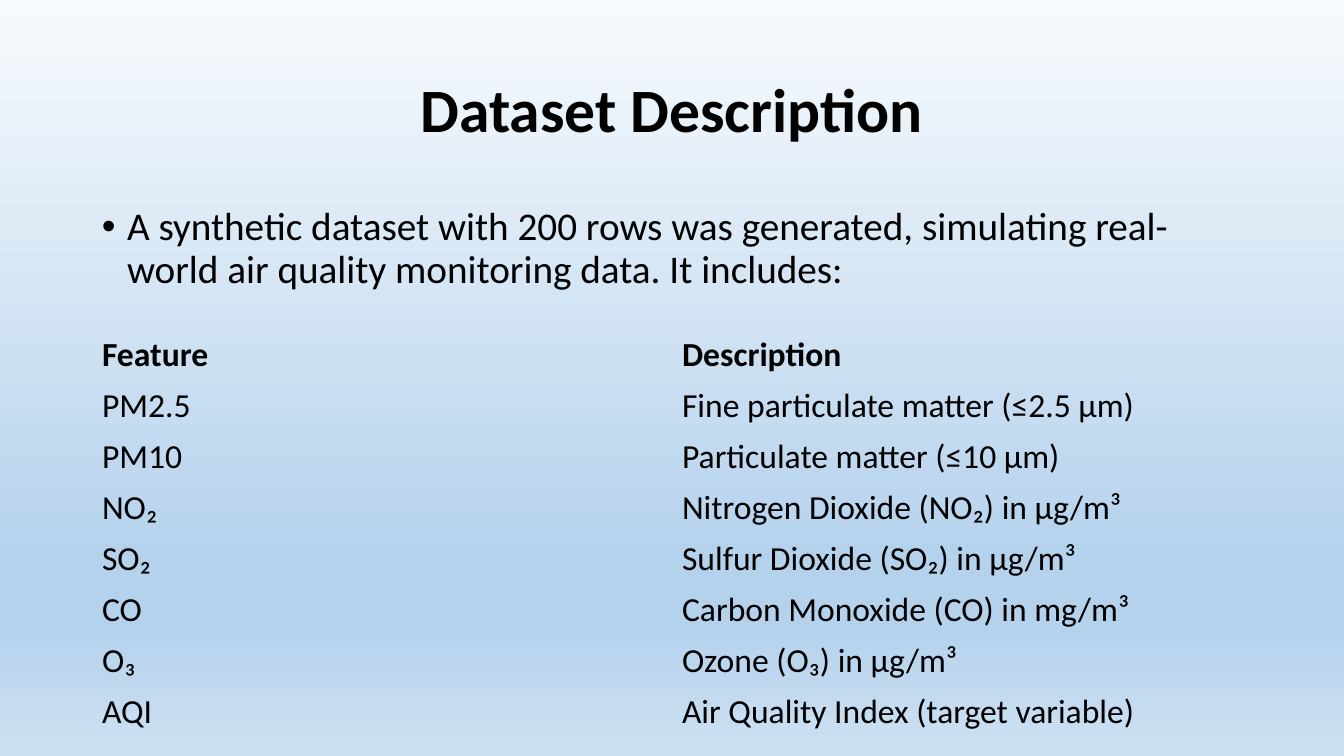
import copy
import pptx
import pptx.util
import pptx.dml.color
import pptx.enum.text
import pptx.oxml
import pptx.oxml.ns

RGB = pptx.dml.color.RGBColor
TEXT = RGB(0, 0, 0)
PALE = RGB(0xF7, 0xFA, 0xFD)
BLUE = RGB(0xB5, 0xD2, 0xEC)
MIST = RGB(0xCE, 0xE1, 0xF2)
FONT = "Calibri"
PLAIN = "{2D5ABB26-0587-4C30-8999-92F81FD0307C}"

STOPS = [(0, PALE), (0.74, BLUE), (0.83, BLUE), (1, MIST)]
TITLE = "Dataset Description"
INTRO = ("A synthetic dataset with 200 rows was generated, simulating "
         "real-world air quality monitoring data. It includes:")
ROWS = [
    ("Feature", "Description"),
    ("PM2.5", "Fine particulate matter (≤2.5 μm)"),
    ("PM10", "Particulate matter (≤10 μm)"),
    ("NO₂", "Nitrogen Dioxide (NO₂) in µg/m³"),
    ("SO₂", "Sulfur Dioxide (SO₂) in µg/m³"),
    ("CO", "Carbon Monoxide (CO) in mg/m³"),
    ("O₃", "Ozone (O₃) in µg/m³"),
    ("AQI", "Air Quality Index (target variable)"),
]
LEFT, WIDE = 92, 1160
ROW = 51


def px(n):
    return pptx.util.Emu(round(n * 914400 / 100.8))


def box(*edges):
    return [px(n) for n in edges]


def write(para, text, size, bold=False):
    run = para.add_run()
    run.text = text
    run.font.name = FONT
    run.font.size = pptx.util.Pt(size)
    run.font.bold = bold
    run.font.color.rgb = TEXT


def paint(slide):
    fill = slide.background.fill
    fill.gradient()
    fill.gradient_angle = 270
    items = slide.element.find(".//" + pptx.oxml.ns.qn("a:gsLst"))
    while len(items) < len(STOPS):
        items.append(copy.deepcopy(items[0]))
    for stop, (pos, color) in zip(fill.gradient_stops, STOPS):
        stop.position = pos
        stop.color.rgb = color


def add_title(slide):
    title = slide.shapes.title
    title.left, title.top, title.width, title.height = box(LEFT, 40, WIDE, 146)
    frame = title.text_frame
    frame.vertical_anchor = pptx.enum.text.MSO_ANCHOR.MIDDLE
    para = frame.paragraphs[0]
    para.alignment = pptx.enum.text.PP_ALIGN.CENTER
    para.line_spacing = 0.9
    write(para, TITLE, 44, True)


def add_intro(slide):
    frame = slide.shapes.add_textbox(*box(LEFT, 202, WIDE, 110)).text_frame
    frame.word_wrap = True
    para = frame.paragraphs[0]
    para.line_spacing = 0.9
    props = para._p.get_or_add_pPr()
    props.set("marL", "228600")
    props.set("indent", "-228600")
    space = pptx.oxml.ns.nsdecls("a")
    for tag in ('buFont typeface="Arial"', 'buChar char="•"'):
        props.append(pptx.oxml.parse_xml(f"<a:{tag[:6]} {space} {tag[6:]}/>"))
    write(para, INTRO, 28)


def add_rows(slide):
    cols = len(ROWS[0])
    table = slide.shapes.add_table(
        len(ROWS), cols, *box(LEFT, 330, WIDE, ROW * len(ROWS))).table
    table.horz_banding = False
    style = table._tbl.tblPr.find(pptx.oxml.ns.qn("a:tableStyleId"))
    style.text = PLAIN
    for r, row in enumerate(ROWS):
        table.rows[r].height = px(ROW)
        for c, text in enumerate(row):
            cell = table.cell(r, c)
            cell.fill.background()
            cell.vertical_anchor = pptx.enum.text.MSO_ANCHOR.MIDDLE
            write(cell.text_frame.paragraphs[0], text, 24, r == 0)


def main():
    deck = pptx.Presentation()
    deck.slide_width, deck.slide_height = box(1344, 756)
    slide = deck.slides.add_slide(deck.slide_layouts[5])
    paint(slide)
    add_title(slide)
    add_intro(slide)
    add_rows(slide)
    deck.save("out.pptx")


if __name__ == "__main__":
    main()
